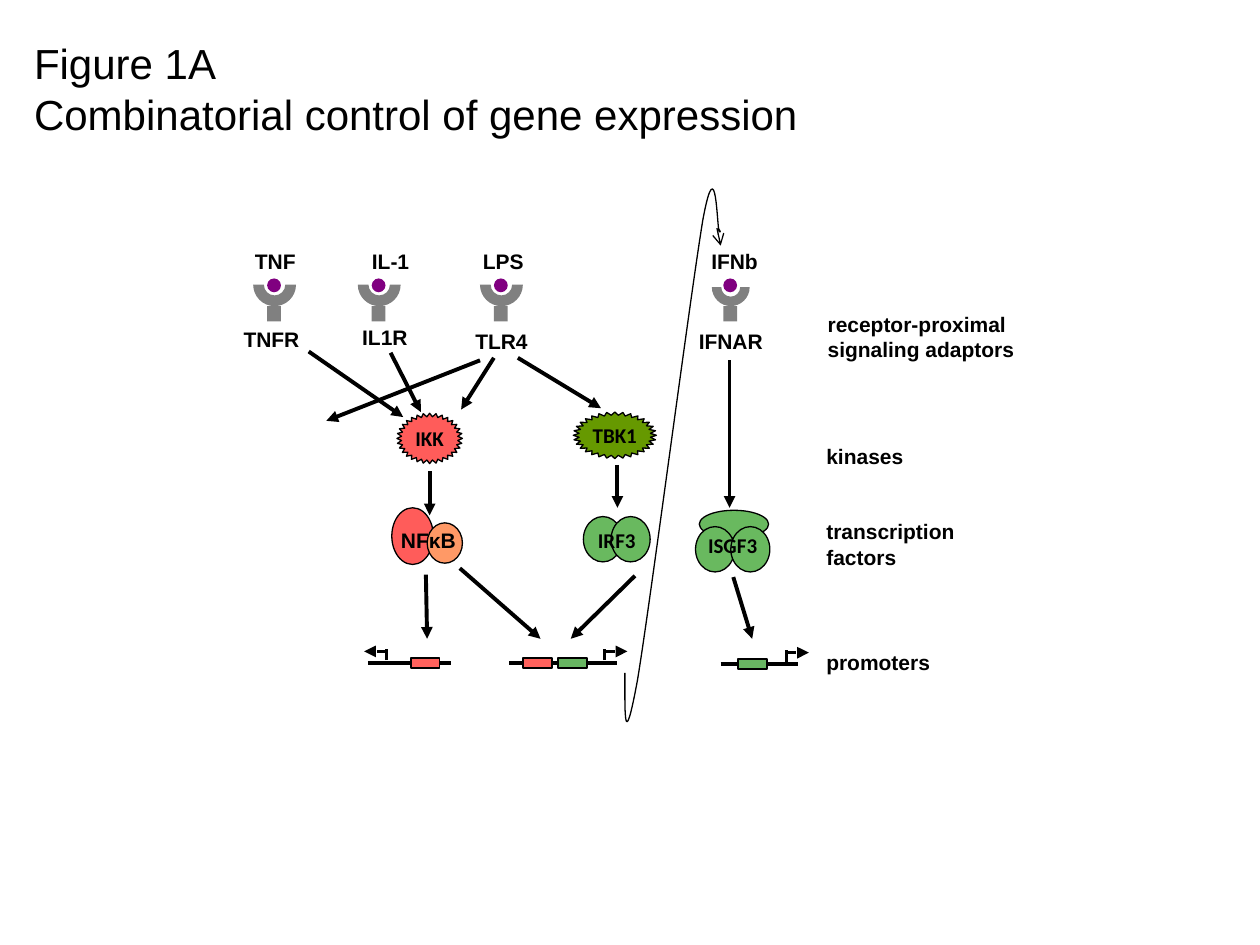
"""Build the slide on combinatorial control of gene expression."""
from lxml import etree
from pptx import Presentation
from pptx import util as u
from pptx.dml.color import RGBColor
from pptx.enum import shapes, text
from pptx.oxml.ns import qn

COLORS = {"black": "000000", "red": "FF5C5A", "orange": "FF9966", "green": "69B95F",
          "olive": "669900", "gray": "808080", "purple": "800080",
          "red box": "FF625D", "green box": "68B662"}
SHAPE = shapes.MSO_SHAPE
CENTER, LEFT = text.PP_ALIGN.CENTER, text.PP_ALIGN.LEFT

TITLE = ["Figure 1A", "Combinatorial control of gene expression"]
RECEPTORS = [
    ("TNF", 1.92, 0.53, "TNFR", 1.83, 2.54, 0.65, 2.18, 2.26, 0.17),
    ("IL-1", 2.85, 0.5, "IL1R", 2.77, 2.53, 0.57, 3.01, 2.26, 0.17),
    ("LPS", 3.73, 0.53, "TLR4", 3.67, 2.56, 0.62, 3.98, 2.26, 0.17),
    ("IFNb", 5.54, 0.58, "IFNAR", 5.44, 2.56, 0.72, 5.8, 2.28, 0.15),
]
KINASES = [("IKK", "red", 3.15, 3.28, 0.52, 0.4),
           ("TBK1", "olive", 4.55, 3.27, 0.66, 0.37)]
FACTOR_PARTS = [
    ("green", 5.55, 4.05, 0.55, 0.22),
    ("red", 3.11, 4.03, 0.33, 0.45),
    ("orange", 3.39, 4.15, 0.28, 0.32),
    ("green", 4.63, 4.1, 0.31, 0.36),
    ("green", 4.85, 4.1, 0.31, 0.36),
    ("green", 5.52, 4.18, 0.31, 0.36),
    ("green", 5.8, 4.18, 0.31, 0.36),
]
FACTOR_LABELS = [("NFκB", 3.08, 4.14, 0.64, 0.3, "Arial"),
                 ("IRF3", 4.58, 4.14, 0.63, 0.35, "Calibri"),
                 ("ISGF3", 5.43, 4.18, 0.77, 0.35, "Calibri")]
ROW_LABELS = [("receptor-proximal signaling adaptors", 6.47, 2.42, 1.82, 0.5),
              ("kinases", 6.46, 3.47, 0.82, 0.3),
              ("transcription factors", 6.46, 4.07, 1.52, 0.5),
              ("promoters", 6.46, 5.11, 1.03, 0.3)]
ARROWS = [
    (2.45, 2.79, 3.2, 3.31), (3.1, 2.8, 3.34, 3.27), (3.81, 2.86, 2.59, 3.34),
    (3.92, 2.84, 3.66, 3.25), (4.11, 2.84, 4.77, 3.24), (5.79, 2.86, 5.79, 4.03),
    (3.41, 3.74, 3.41, 4.09), (4.9, 3.69, 4.9, 4.03), (3.38, 4.56, 3.39, 5.07),
    (3.65, 4.51, 4.29, 5.07), (5.04, 4.57, 4.53, 5.07), (5.82, 4.58, 5.97, 5.07),
]
PROMOTERS = [
    (2.92, 3.58, 5.26, [("red box", 3.26)], 3.07, -1),
    (4.04, 4.9, 5.26, [("red box", 4.15), ("green box", 4.43)], 4.8, 1),
    (5.72, 6.33, 5.27, [("green box", 5.86)], 6.24, 1),
]
FEEDBACK_BOX = (4.96, 1.5, 0.76, 4.23)
FEEDBACK = [("moveTo", (4.96, 5.34)),
            ("cubicBezTo", (4.96, 5.67), (4.95, 5.99), (5.06, 5.4)),
            ("cubicBezTo", (5.16, 4.8), (5.48, 2.34), (5.58, 1.74)),
            ("cubicBezTo", (5.69, 1.15), (5.69, 1.83), (5.71, 1.84)),
            ("cubicBezTo", (5.73, 1.85), (5.7, 1.81), (5.7, 1.81))]

presentation = Presentation()
presentation.slide_width, presentation.slide_height = u.Cm(25.4), u.Cm(19.05)
slide = presentation.slides.add_slide(presentation.slide_layouts[5])


def cm(inches):
    return u.Cm(inches * 2.54)


def rgb(name):
    return RGBColor.from_string(COLORS[name])


def write(shape, lines, size=12, font="Arial", bold=True, align=LEFT, wrap=True,
          anchor=text.MSO_ANCHOR.TOP):
    frame = shape.text_frame
    frame.auto_size = text.MSO_AUTO_SIZE.NONE
    frame.word_wrap, frame.vertical_anchor = wrap, anchor
    for index, line in enumerate(lines):
        paragraph = frame.add_paragraph() if index else frame.paragraphs[0]
        paragraph.alignment, paragraph.space_before = align, u.Pt(0)
        run = paragraph.add_run()
        run.text = line
        run.font.size, run.font.name, run.font.bold = u.Pt(size), font, bold
        run.font.color.rgb = rgb("black")


def add_label(label, left, top, width, height, **style):
    write(slide.shapes.add_textbox(cm(left), cm(top), cm(width), cm(height)), [label], **style)


def paint(shape, fill=None, line=None):
    shape.shadow.inherit = False
    if fill:
        shape.fill.solid()
        shape.fill.fore_color.rgb = rgb(fill)
    else:
        shape.fill.background()
    if line:
        shape.line.color.rgb, shape.line.width = rgb("black"), u.Pt(line)
    else:
        shape.line.fill.background()


def add_shape(kind, fill, left, top, width, height, line=None):
    shape = slide.shapes.add_shape(kind, cm(left), cm(top), cm(width), cm(height))
    paint(shape, fill, line)
    return shape


def add_line(x1, y1, x2, y2, width=2.25, head=None):
    connector = slide.shapes.add_connector(
        shapes.MSO_CONNECTOR.STRAIGHT, cm(x1), cm(y1), cm(x2), cm(y2))
    connector.line.color.rgb, connector.line.width = rgb("black"), u.Pt(width)
    if head:
        etree.SubElement(connector.line._get_or_add_ln(), qn("a:tailEnd"), type=head)
    etree.SubElement(connector._element.spPr, qn("a:effectLst"))


def add_curve(box, commands, **style):
    left, top, width, height = box
    builder = slide.shapes.build_freeform(cm(left), cm(top))
    builder.add_line_segments([(cm(left + width), cm(top + height))], close=False)
    shape = builder.convert_to_shape()
    outline = next(shape._element.iter(qn("a:path")))
    for child in list(outline):
        outline.remove(child)
    for command, *points in commands:
        element = etree.SubElement(outline, qn("a:" + command))
        for x, y in points:
            etree.SubElement(element, qn("a:pt"), x=str(cm(x - left)), y=str(cm(y - top)))
    paint(shape, **style)


def half_circle(x, y, radius, side):
    reach, bend = side * radius, 0.55 * radius
    return [("cubicBezTo", (x + reach, y + bend), (x + side * bend, y + radius), (x, y + radius)),
            ("cubicBezTo", (x - side * bend, y + radius), (x - reach, y + bend), (x - reach, y))]


def add_cup(x, y, radius):
    inner = radius / 2
    commands = [("moveTo", (x + inner, y)), *half_circle(x, y, inner, 1),
                ("lnTo", (x - radius, y)), *half_circle(x, y, radius, -1), ("close",)]
    add_curve((x - radius, y - radius, 2 * radius, 2 * radius), commands, fill="gray")


title = slide.shapes.title
title.left, title.top, title.width, title.height = cm(0.17), cm(0.25), cm(6.32), cm(0.91)
write(title, TITLE, size=24, bold=False, wrap=False)

for (ligand, ligand_left, ligand_width, receptor, receptor_left, receptor_top,
     receptor_width, x, y, radius) in RECEPTORS:
    add_label(ligand, ligand_left, 1.92, ligand_width, 0.3, align=CENTER, wrap=False)
    add_label(receptor, receptor_left, receptor_top, receptor_width, 0.3,
              align=CENTER, wrap=False)
    add_shape(SHAPE.RECTANGLE, "gray", x - 0.06, 2.43, 0.11, 0.12)
    add_cup(x, y, radius)
    add_shape(SHAPE.OVAL, "purple", x - 0.06, 2.21, 0.11, 0.11)

for name, fill, *box in KINASES:
    star = add_shape(SHAPE.STAR_32_POINT, fill, *box, line=0.75)
    star.adjustments[0] = 0.431
    write(star, [name], font="Calibri", align=CENTER, wrap=False,
          anchor=text.MSO_ANCHOR.MIDDLE)

for fill, *box in FACTOR_PARTS:
    add_shape(SHAPE.OVAL, fill, *box, line=0.75)
for name, *box, font in FACTOR_LABELS:
    add_label(name, *box, font=font, align=CENTER, wrap=False)
for label, *box in ROW_LABELS:
    add_label(label, *box, wrap=" " in label)
for arrow in ARROWS:
    add_line(*arrow, head="triangle")

for start, end, y, boxes, stem, direction in PROMOTERS:
    add_line(start, y, end, y)
    for fill, left in boxes:
        add_shape(SHAPE.RECTANGLE, fill, left, y - 0.04, 0.23, 0.08, line=1)
    add_line(stem, y - 0.02, stem, y - 0.11, width=1.5)
    add_line(stem + direction * 0.01, y - 0.09, stem + direction * 0.08, y - 0.09, width=1.5)
    add_line(stem + direction * 0.12, y - 0.09, stem + direction * 0.18, y - 0.09,
             head="triangle")

add_curve(FEEDBACK_BOX, FEEDBACK, line=0.75)
add_line(5.69, 1.81, 5.72, 1.95, width=0.75, head="arrow")

presentation.save("out.pptx")
